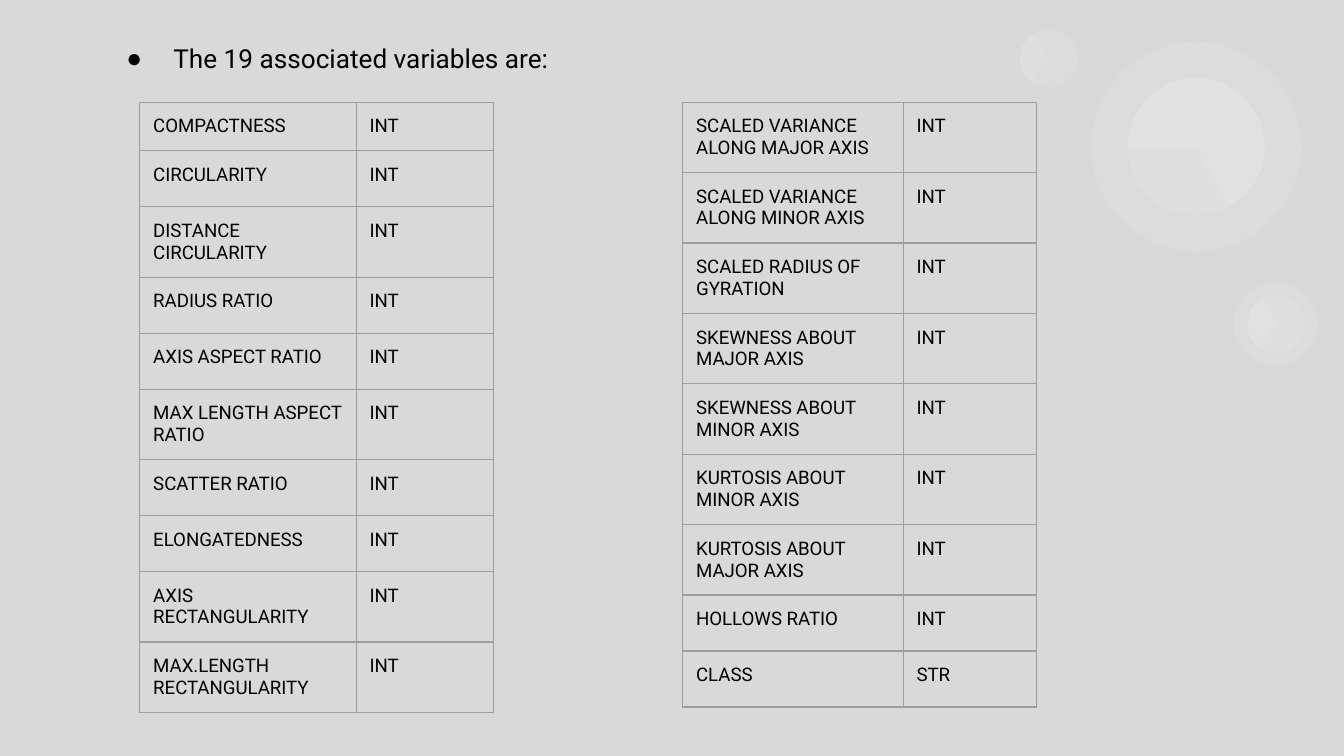
import pptx
import pptx.util
import pptx.dml.color
import pptx.enum.shapes
import pptx.enum.text
import pptx.oxml.ns
import lxml.etree

Inches = pptx.util.Inches
Pt = pptx.util.Pt
KIND = pptx.enum.shapes.MSO_SHAPE
qn = pptx.oxml.ns.qn


def tint(hue):
    return pptx.dml.color.RGBColor.from_string(hue)


def write(frame, text, size=10, hue="000000", font="Roboto", inset=0.1, base=0.1):
    frame.word_wrap = True
    frame.margin_left = frame.margin_right = frame.margin_top = Inches(inset)
    frame.margin_bottom = Inches(base)
    for i, line in enumerate(text.split("\n")):
        para = frame.paragraphs[0] if i == 0 else frame.add_paragraph()
        para.alignment = pptx.enum.text.PP_ALIGN.LEFT
        run = para.add_run()
        run.text = line
        run.font.size = Pt(size)
        run.font.name = font
        run.font.color.rgb = tint(hue)


deck = pptx.Presentation()
deck.slide_width = Inches(10)
deck.slide_height = Inches(10 * 9 / 16)
slide = deck.slides.add_slide(deck.slide_layouts[5])
slide.background.fill.solid()
slide.background.fill.fore_color.rgb = tint("D9D9D9")

rings = [
    (8.39, 0.58, 1.02, 215.9, None),
    (8.39, 0.58, 1.02, 215.9, (193.77, 123.14)),
    (8.12, 0.31, 1.56, 215.8, None),
    (9.18, 2.1, 0.62, 35.9, None),
    (9.28, 2.2, 0.43, 35.8, None),
    (9.28, 2.2, 0.43, 35.8, (57, 123.14)),
    (7.59, 0.22, 0.43, 35.8, None),
    (7.59, 0.22, 0.43, 35.8, (57, 123.14)),
]
for left, top, size, turn, arc in rings:
    kind = KIND.PIE if arc else KIND.OVAL
    ring = slide.shapes.add_shape(
        kind, Inches(left), Inches(top), Inches(size), Inches(size))
    ring.rotation = turn
    ring.shadow.inherit = False
    ring.line.fill.background()
    ring.fill.solid()
    ring.fill.fore_color.rgb = tint("FFFFFF")
    shade = ring.fill._xPr.find(qn("a:solidFill"))[0]
    lxml.etree.SubElement(shade, qn("a:alpha"), val="9000")
    for i, angle in enumerate(arc or ()):
        ring.adjustments[i] = angle

title = slide.shapes.title
title.left, title.top = Inches(0.69), Inches(0)
title.width, title.height = Inches(9.01), Inches(1.1)
frame = title.text_frame
frame.auto_size = pptx.enum.text.MSO_AUTO_SIZE.NONE
frame.vertical_anchor = pptx.enum.text.MSO_ANCHOR.MIDDLE
write(frame, "The 19 associated variables are:", size=14, base=0.33)
props = frame.paragraphs[0]._p.get_or_add_pPr()
props.set("marL", str(Inches(0.5)))
props.set("indent", str(Inches(-0.35)))
color = lxml.etree.SubElement(props, qn("a:buClr"))
lxml.etree.SubElement(color, qn("a:srgbClr"), val="000000")
lxml.etree.SubElement(props, qn("a:buSzPts"), val="1400")
lxml.etree.SubElement(props, qn("a:buFont"), typeface="Arial")
lxml.etree.SubElement(props, qn("a:buChar"), char="●")

first = [
    "COMPACTNESS", "CIRCULARITY", "DISTANCE CIRCULARITY", "RADIUS RATIO",
    "AXIS ASPECT RATIO", "MAX LENGTH ASPECT RATIO", "SCATTER RATIO",
    "ELONGATEDNESS", "AXIS RECTANGULARITY", "MAX.LENGTH RECTANGULARITY",
]
second = [
    "SCALED VARIANCE\nALONG MAJOR AXIS", "SCALED VARIANCE\nALONG MINOR AXIS",
    "SCALED RADIUS OF GYRATION", "SKEWNESS ABOUT\nMAJOR AXIS",
    "SKEWNESS ABOUT\nMINOR AXIS", "KURTOSIS ABOUT\nMINOR AXIS",
    "KURTOSIS ABOUT\nMAJOR AXIS", "HOLLOWS RATIO", "CLASS",
]
for left, widths, names in [(1.04, (1.61, 1.02), first), (5.08, (1.64, 0.99), second)]:
    holder = slide.shapes.add_table(
        len(names), 2, Inches(left), Inches(0.76), Inches(3.28), Inches(3.28))
    table = holder.table
    table.first_row = table.horz_banding = False
    for col, width in zip(table.columns, widths):
        col.width = Inches(width)
    for i, name in enumerate(names):
        table.rows[i].height = Inches(5 / 12 if i else 0.36)
        for j, text in enumerate((name, "STR" if name == "CLASS" else "INT")):
            cell = table.cell(i, j)
            write(cell.text_frame, text)
            cell.margin_left = cell.margin_right = Inches(0.1)
            cell.margin_top = cell.margin_bottom = Inches(0.1)
            props = cell._tc.get_or_add_tcPr()
            for side in ("lnL", "lnR", "lnT", "lnB"):
                edge = lxml.etree.SubElement(props, qn("a:" + side), w=str(Pt(0.75)))
                fill = lxml.etree.SubElement(edge, qn("a:solidFill"))
                lxml.etree.SubElement(fill, qn("a:srgbClr"), val="9E9E9E")
            cell.fill.background()
    holder.width = holder.height = Inches(3.28)

deck.save("out.pptx")
